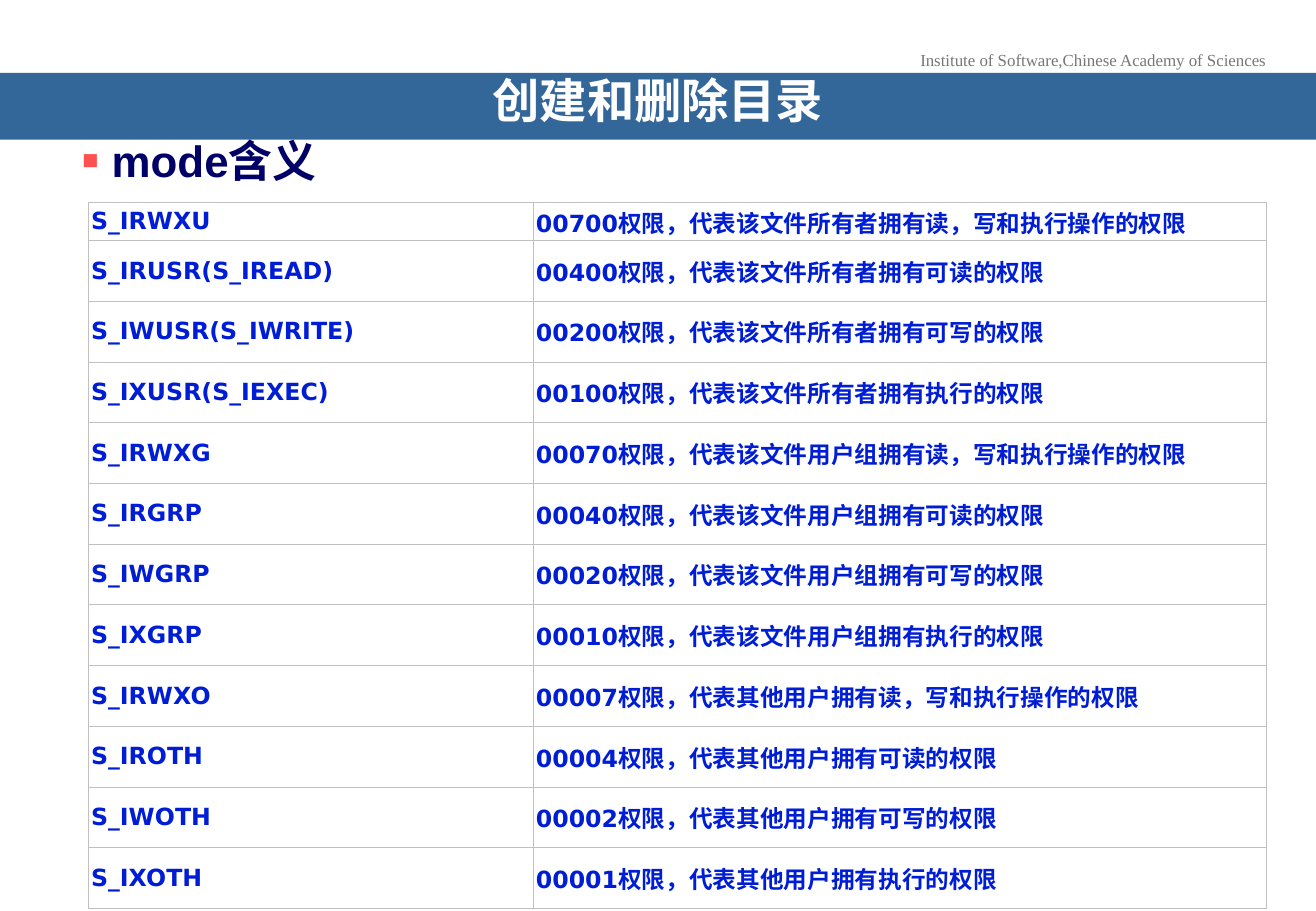
from lxml.etree import SubElement
from pptx import Presentation
from pptx.dml.color import RGBColor
from pptx.enum.text import MSO_ANCHOR as Anchor, MSO_AUTO_SIZE as AutoSize, PP_ALIGN as Align
from pptx.oxml.ns import qn
from pptx.util import Inches, Pt

# Scopes: suffix, octal shift, owner; actions: letters, octal digit, wording
SCOPES = [("U", "USR", 6, "该文件所有者"), ("G", "GRP", 3, "该文件用户组"), ("O", "OTH", 0, "其他用户")]
ACTIONS = [("RWX", 7, "读，写和执行操作"), ("R", 4, "可读"), ("W", 2, "可写"), ("X", 1, "执行")]
ALIASES = {"S_IRUSR": "(S_IREAD)", "S_IWUSR": "(S_IWRITE)", "S_IXUSR": "(S_IEXEC)"}


def hex_color(value):
    return RGBColor.from_string(value)


def format_text(para, font, size, color, bold=True, align=Align.LEFT):
    para.alignment = align
    for span in para.runs:
        span.font.name = font
        span.font.size = Pt(size)
        span.font.bold = bold
        span.font.color.rgb = hex_color(color)


def set_margins(frame, side, top):
    frame.margin_left = frame.margin_right = Inches(side)
    frame.margin_top = frame.margin_bottom = Inches(top)


def add_text(page, text, left, top, width, height, wrap=True):
    box = page.shapes.add_textbox(Inches(left), Inches(top), Inches(width), Inches(height))
    box.text_frame.word_wrap = wrap
    box.text_frame.text = text
    return box.text_frame.paragraphs[0]


def format_title(page, text):
    title = page.shapes.title
    title.left, title.top = Inches(0), Inches(0.6)
    title.width, title.height = Inches(10.83), Inches(0.55)
    title.fill.solid()
    title.fill.fore_color.rgb = hex_color("336699")
    frame = title.text_frame
    frame.text = text
    frame.auto_size = AutoSize.NONE
    frame.vertical_anchor = Anchor.MIDDLE
    set_margins(frame, 0.31, 0.05)
    frame.paragraphs[0].line_spacing = 0.7
    format_text(frame.paragraphs[0], "Arial Narrow", 28, "FFFFFF", align=Align.CENTER)


def add_bullet(para, symbol, color, percent, indent):
    props = para._p.get_or_add_pPr()
    props.set("marL", str(Inches(indent)))
    props.set("indent", str(-Inches(indent)))
    SubElement(SubElement(props, qn("a:buClr")), qn("a:srgbClr"), val=color)
    SubElement(props, qn("a:buSzPct"), val=str(percent * 1000))
    SubElement(props, qn("a:buFont"), typeface="Arial")
    SubElement(props, qn("a:buChar"), char=symbol)


def add_borders(cell, color, width):
    props = cell._tc.get_or_add_tcPr()
    for side in ("lnL", "lnR", "lnT", "lnB"):
        line = SubElement(props, qn(f"a:{side}"), w=str(Pt(width)))
        fill = SubElement(line, qn("a:solidFill"))
        SubElement(fill, qn("a:srgbClr"), val=color)


def mode_rows():
    rows = []
    for short, suffix, shift, owner in SCOPES:
        for letters, digit, wording in ACTIONS:
            name = f"S_I{letters}{short if digit == 7 else suffix}"
            code = f"{digit << shift:05o}"
            rows.append((name + ALIASES.get(name, ""), f"{code}权限，代表{owner}拥有{wording}的权限"))
    return rows


def add_mode_table(page, rows):
    widths = [3.66, 6.03]
    heights = [0.31] + [0.5] * (len(rows) - 1)
    table = page.shapes.add_table(len(rows), len(widths), Inches(0.73), Inches(1.67),
                                  Inches(sum(widths)), Inches(sum(heights))).table
    table.first_row = table.horz_banding = False
    for column, width in zip(table.columns, widths):
        column.width = Inches(width)
    for row, height, texts in zip(table.rows, heights, rows):
        row.height = Inches(height)
        for cell, text in zip(row.cells, texts):
            cell.text = text
            cell.vertical_anchor = Anchor.MIDDLE
            set_margins(cell, 0.02, 0.02)
            add_borders(cell, "C0C0C0", 0.6)
            cell.fill.background()
            format_text(cell.text_frame.paragraphs[0], "DejaVu Sans", 14, "001DD6")


def main():
    deck = Presentation()
    deck.slide_width, deck.slide_height = Inches(10.83), Inches(7.5)
    page = deck.slides.add_slide(deck.slide_layouts[5])

    # Header and title band
    header = add_text(page, "Institute of Software,Chinese Academy of Sciences",
                      7.46, 0.36, 3.07, 0.27, wrap=False)
    format_text(header, "Times New Roman", 10, "777777", bold=False, align=Align.CENTER)
    format_title(page, "创建和删除目录")

    # Topic and table of modes
    topic = add_text(page, "mode含义", 0.57, 1.05, 9.49, 0.62)
    add_bullet(topic, "▪", "FF5050", 120, 0.25)
    format_text(topic, "Arial", 26, "000066")
    add_mode_table(page, mode_rows())

    deck.save("out.pptx")


if __name__ == "__main__":
    main()
